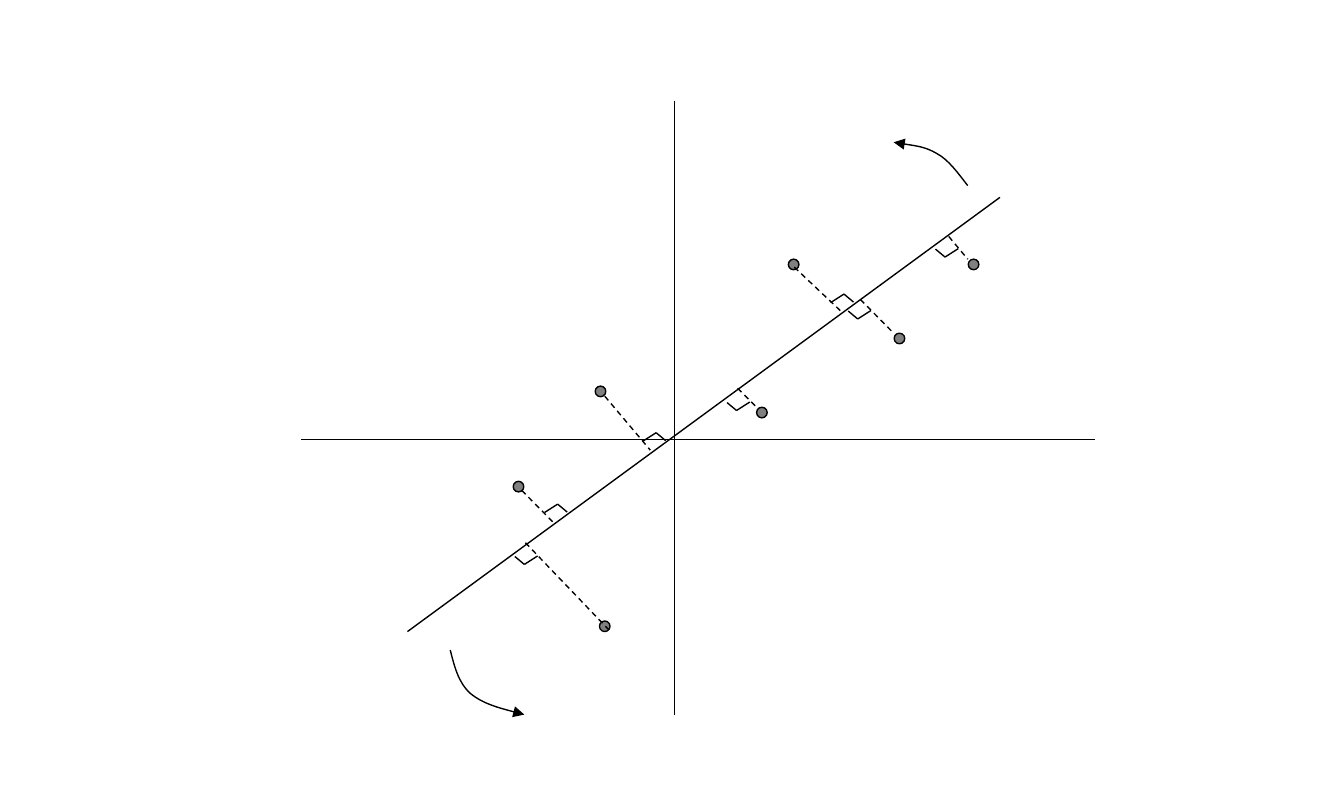
from typing import NamedTuple

import lxml.etree
import pptx
import pptx.dml.color
import pptx.enum.dml
import pptx.enum.shapes
import pptx.oxml
import pptx.oxml.ns
import pptx.util

Cm = pptx.util.Cm
qn = pptx.oxml.ns.qn

COLORS = {"line": "000000", "point": "808080"}
LINE_WIDTH = pptx.util.Pt(0.75)
POINT_DIAMETER = 0.2


class Position(NamedTuple):
    """A place on the slide, in centimetres."""
    x: float
    y: float


class Segment(NamedTuple):
    start: Position
    end: Position
    dashed: bool = False


class Observation(NamedTuple):
    """A data point and the dashed line between it and the fitted line."""
    center: Position
    projection: Segment


class RightAngle(NamedTuple):
    corner: Position
    side: int  # 1 below the fitted line, -1 above it


def dashed(x1: float, y1: float, x2: float, y2: float) -> Segment:
    return Segment(Position(x1, y1), Position(x2, y2), dashed=True)


AXES = [
    Segment(Position(12.75, 1.9), Position(12.75, 13.51)),
    Segment(Position(5.69, 8.31), Position(20.7, 8.31)),
]
FITTED_LINE = Segment(Position(7.7, 11.94), Position(18.9, 3.73))

OBSERVATIONS = [
    Observation(Position(11.35, 7.4), dashed(11.43, 7.49, 12.29, 8.51)),
    Observation(Position(14.4, 7.8), dashed(13.94, 7.34, 14.3, 7.7)),
    Observation(Position(15, 5), dashed(15.01, 5.05, 15.9, 5.89)),
    Observation(Position(17, 6.4), dashed(16.26, 5.66, 16.89, 6.3)),
    Observation(Position(9.8, 9.2), dashed(9.86, 9.27, 10.49, 9.91)),
    Observation(Position(11.43, 11.84), dashed(9.93, 10.26, 11.51, 11.91)),
    Observation(Position(18.4, 5), dashed(17.93, 4.47, 18.29, 4.9)),
]

# Arms of a right angle below the line; above it they point the other way
ANGLE_ARMS = [Position(0.25, -0.16), Position(-0.18, -0.15)]
RIGHT_ANGLES = [
    RightAngle(Position(9.91, 10.67), 1),
    RightAngle(Position(13.92, 7.76), 1),
    RightAngle(Position(17.86, 4.86), 1),
    RightAngle(Position(16.21, 6.03), 1),
    RightAngle(Position(10.54, 9.53), -1),
    RightAngle(Position(12.4, 8.18), -1),
    RightAngle(Position(15.95, 5.56), -1),
]

# Start, then two control points and an end for each Bezier section
ROTATION_CURVES = [
    [(18.29, 3.51), (18.11, 3.28), (17.93, 3.02), (17.7, 2.9),
     (17.48, 2.77), (17.17, 2.74), (16.89, 2.69)],
    [(8.51, 12.29), (8.59, 12.6), (8.66, 12.9), (8.89, 13.11),
     (9.14, 13.31), (9.53, 13.41), (9.91, 13.51)],
]


def rgb(name: str) -> pptx.dml.color.RGBColor:
    return pptx.dml.color.RGBColor.from_string(COLORS[name])


def format_line(shape) -> None:
    shape.line.color.rgb = rgb("line")
    shape.line.width = LINE_WIDTH


def draw_segment(slide, segment: Segment) -> None:
    connector = slide.shapes.add_connector(
        pptx.enum.shapes.MSO_CONNECTOR.STRAIGHT,
        Cm(segment.start.x), Cm(segment.start.y),
        Cm(segment.end.x), Cm(segment.end.y))
    format_line(connector)
    if segment.dashed:
        connector.line.dash_style = pptx.enum.dml.MSO_LINE.DASH
    lxml.etree.SubElement(connector.element.spPr, qn("a:effectLst"))


def draw_point(slide, center: Position) -> None:
    radius = POINT_DIAMETER / 2
    point = slide.shapes.add_shape(
        pptx.enum.shapes.MSO_SHAPE.OVAL,
        Cm(center.x - radius), Cm(center.y - radius),
        Cm(POINT_DIAMETER), Cm(POINT_DIAMETER))
    point.shadow.inherit = False
    point.fill.solid()
    point.fill.fore_color.rgb = rgb("point")
    format_line(point)


def draw_right_angle(slide, angle: RightAngle) -> None:
    for arm in ANGLE_ARMS:
        end = Position(angle.corner.x + angle.side * arm.x,
                       angle.corner.y + angle.side * arm.y)
        draw_segment(slide, Segment(angle.corner, end))


def draw_curved_arrow(slide, positions: list[tuple[float, float]]) -> None:
    start, *others = [(Cm(x), Cm(y)) for x, y in positions]
    builder = slide.shapes.build_freeform(*start)
    builder.add_line_segments(others, close=False)
    curve = builder.convert_to_shape()
    curve.shadow.inherit = False
    curve.fill.background()
    format_line(curve)

    # Turn every three straight steps into one Bezier section
    steps = curve.element.xpath(".//a:lnTo")
    for first in range(0, len(steps), 3):
        section = lxml.etree.Element(qn("a:cubicBezTo"))
        steps[first].addprevious(section)
        for step in steps[first:first + 3]:
            section.append(step[0])
            step.getparent().remove(step)

    line = curve.element.spPr.find(qn("a:ln"))
    lxml.etree.SubElement(line, qn("a:tailEnd"), type="triangle")


def main() -> None:
    presentation = pptx.Presentation()
    presentation.slide_width = Cm(25.4)
    presentation.slide_height = Cm(15.01)
    slide = presentation.slides.add_slide(presentation.slide_layouts[6])

    # Axes and data points
    for axis in AXES:
        draw_segment(slide, axis)
    for observation in OBSERVATIONS:
        draw_point(slide, observation.center)

    # Fitted line and projections onto it
    draw_segment(slide, FITTED_LINE)
    for observation in OBSERVATIONS:
        draw_segment(slide, observation.projection)

    # Rotation arrows and right angles
    for curve in ROTATION_CURVES:
        draw_curved_arrow(slide, curve)
    for angle in RIGHT_ANGLES:
        draw_right_angle(slide, angle)

    presentation.save("out.pptx")


if __name__ == "__main__":
    main()
